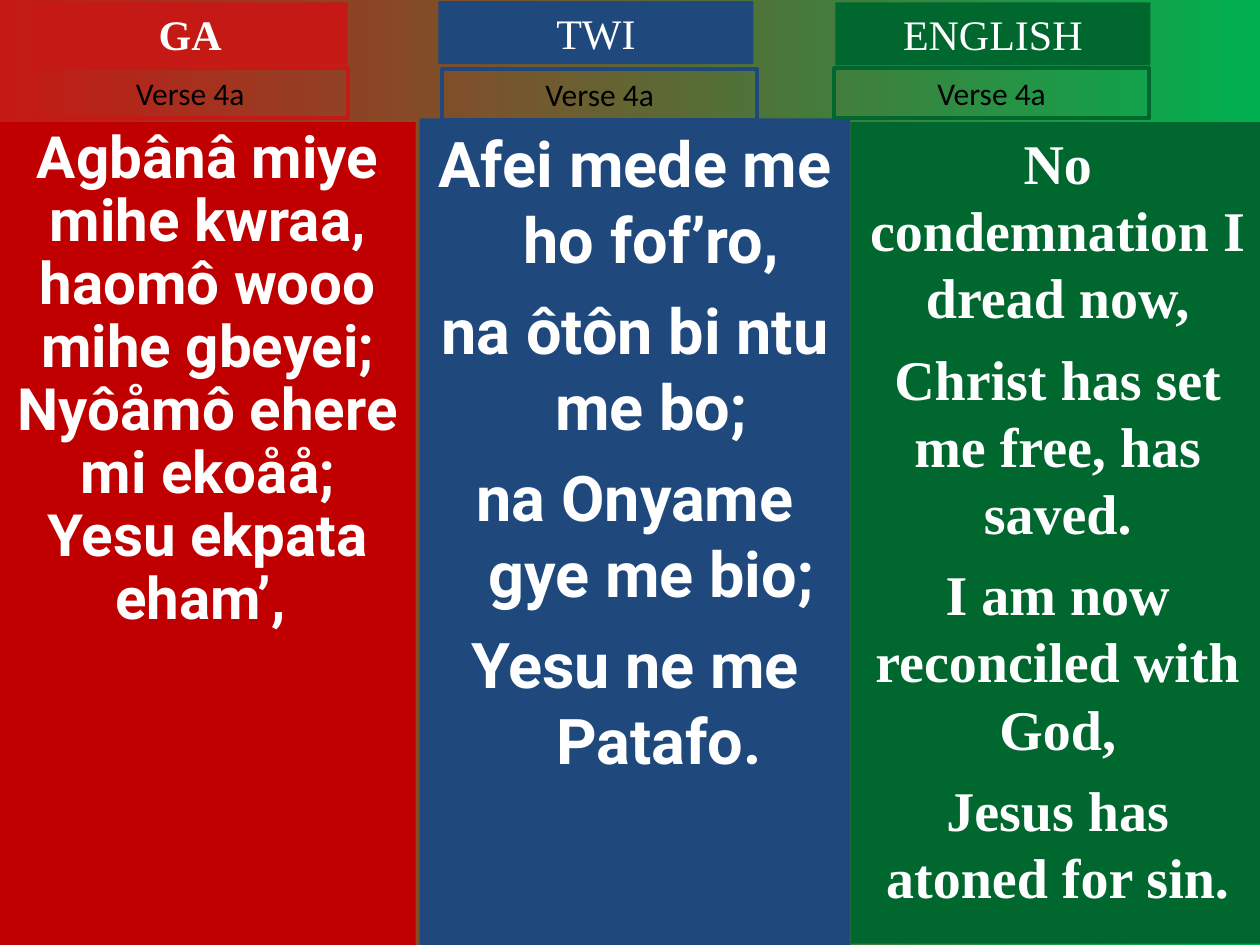
from pptx import Presentation
from pptx.dml.color import RGBColor
from pptx.enum.shapes import MSO_SHAPE as SHAPE
from pptx.enum.text import MSO_ANCHOR as ANCHOR, PP_ALIGN as ALIGN
from pptx.util import Inches, Pt

WHITE, BLACK = "FFFFFF", "000000"
SERIF, SANS, BODY = "Times New Roman", "Roboto", "Calibri"


def color(value):
    return RGBColor.from_string(value)


def add_box(slide, box, fill=None, line=None):
    sp = slide.shapes.add_shape(SHAPE.RECTANGLE, *map(Inches, box))
    sp.shadow.inherit = False
    if fill:
        sp.fill.solid()
        sp.fill.fore_color.rgb = color(fill)
    else:
        sp.fill.background()
    if line:
        sp.line.color.rgb = color(line)
        sp.line.width = Pt(2.25)
    else:
        sp.line.fill.background()
    return sp


def add_text(sp, lines, size, font, ink=WHITE, bold=False, gap=0, spacing=None, hang=0):
    tf = sp.text_frame
    tf.word_wrap = True
    tf.vertical_anchor = ANCHOR.TOP
    for i, text in enumerate(lines):
        p = tf.paragraphs[0] if i == 0 else tf.add_paragraph()
        p.alignment = ALIGN.CENTER
        if i:
            p.space_before = Pt(gap)
        if spacing:
            p.line_spacing = spacing
        if hang:
            pPr = p._p.get_or_add_pPr()
            pPr.set("marL", str(Inches(hang)))
            pPr.set("indent", str(-Inches(hang)))
        r = p.add_run()
        r.text = text
        r.font.size = Pt(size)
        r.font.name = font
        r.font.bold = bold
        r.font.color.rgb = color(ink)


def add_background(slide):
    fill = slide.background.fill
    fill.gradient()
    fill.gradient_angle = 0
    for stop, value, position in zip(fill.gradient_stops, ("C51915", "00B050"), (0, 1)):
        stop.color.rgb = color(value)
        stop.position = position


def add_lyrics(slide, box, fill, lines, **fmt):
    add_text(add_box(slide, box, fill=fill), lines, bold=True, **fmt)


def add_header(slide, title_at, verse_at, accent, title, bold=False):
    # Language name above the outlined verse label
    add_text(add_box(slide, (*title_at, 2.5, 0.5), fill=accent), [title], 24, SERIF, bold=bold)
    add_text(add_box(slide, (*verse_at, 2.5, 0.4), line=accent), ["Verse 4a"], 18, BODY, ink=BLACK)


def main():
    prs = Presentation()
    prs.slide_width, prs.slide_height = Inches(10), Inches(7.5)
    slide = prs.slides.add_slide(prs.slide_layouts[6])
    add_background(slide)

    # Lyrics columns
    ga = ["Agbânâ miye mihe kwraa, haomô wooo mihe gbeyei; "
          "Nyôåmô ehere mi ekoåå; Yesu ekpata eham’, "]
    twi = ["Afei mede me ho fof’ro, ", "na ôtôn bi ntu me bo; ",
           "na Onyame gye me bio; ", "Yesu ne me Patafo."]
    english = ["No condemnation I dread now,", "Christ has set me free, has saved.",
               "I am now reconciled with God,", "Jesus has atoned for sin."]
    add_lyrics(slide, (0, 0.97, 3.3, 6.53), "C00000", ga, size=33.3, font=SANS, spacing=0.9)
    add_lyrics(slide, (3.33, 0.94, 3.42, 6.56), "1F497D", twi, size=36, font=SANS, gap=9, hang=0.38)
    add_lyrics(slide, (6.75, 0.97, 3.29, 6.52), "00682F", english, size=32, font=SERIF, gap=8)

    # Column headers
    add_header(slide, (0.26, 0.02), (0.26, 0.54), "C51915", "GA", bold=True)
    add_header(slide, (3.48, 0.01), (3.51, 0.55), "1F497D", "TWI")
    add_header(slide, (6.63, 0.02), (6.62, 0.54), "00682F", "ENGLISH")

    prs.save("out.pptx")


if __name__ == "__main__":
    main()
